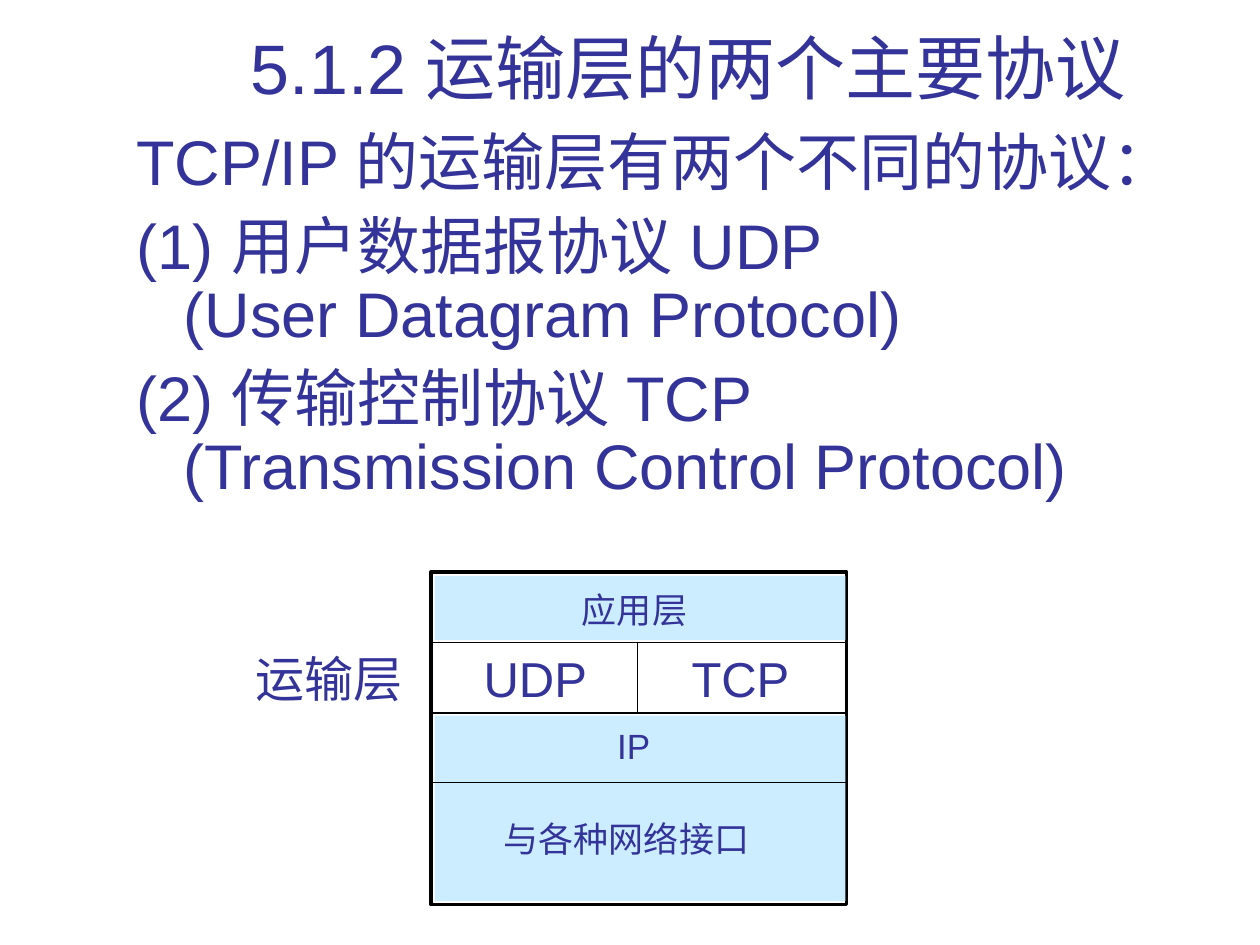
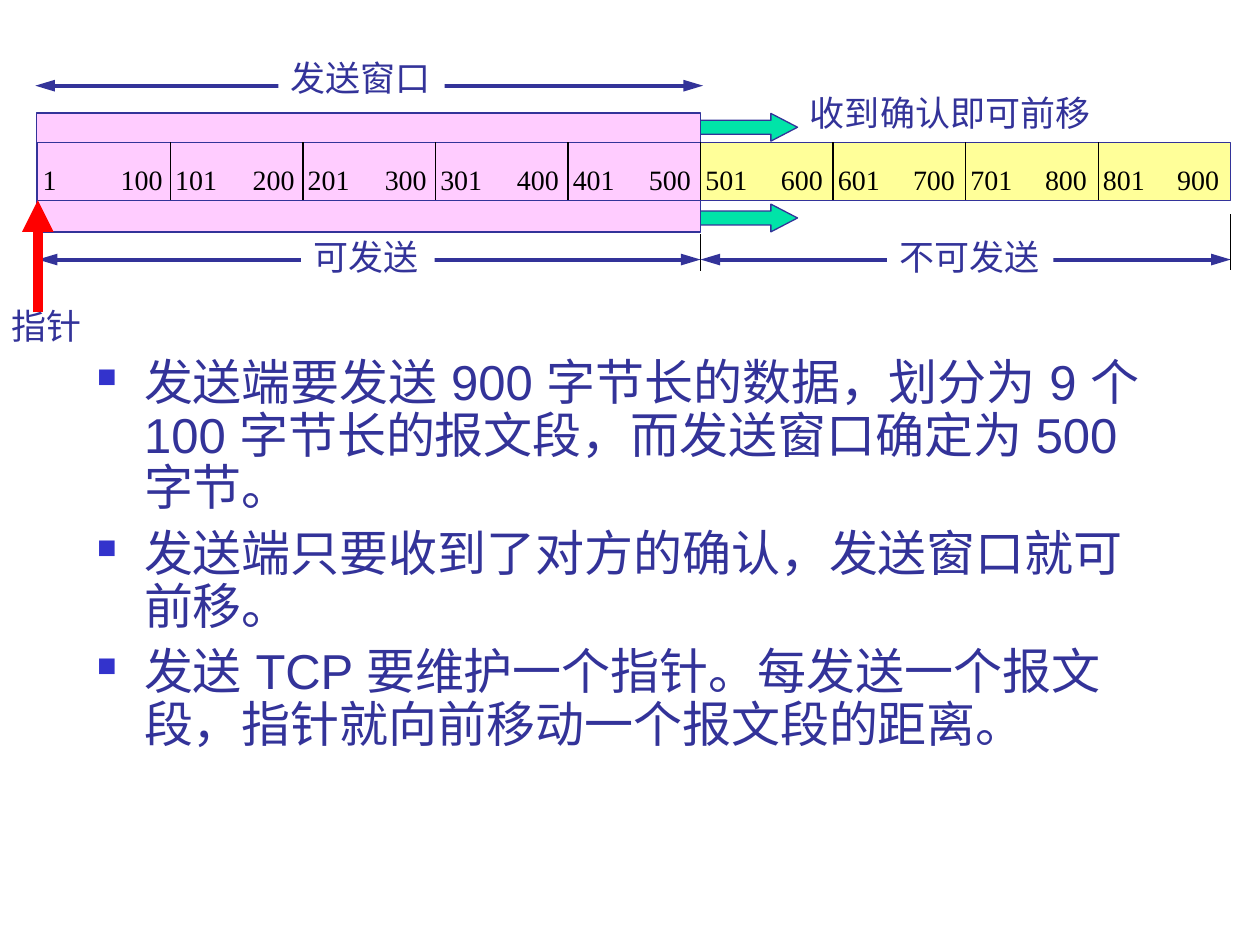
import pptx
import pptx.util
import pptx.dml.color
import pptx.enum.shapes
import pptx.enum.text
import pptx.oxml
import pptx.oxml.ns

RGB = pptx.dml.color.RGBColor
INK = RGB(0x33, 0x33, 0x99)
BLACK = RGB(0, 0, 0)
WHITE = RGB(255, 255, 255)
SKY = RGB(0xCC, 0xEC, 0xFF)
PINK = RGB(0xFF, 0xCC, 0xFF)
YELLOW = RGB(0xFF, 0xFF, 0x99)
GREEN = RGB(0, 0xE4, 0xA8)
RED = RGB(255, 0, 0)
DOT = RGB(0x33, 0x33, 0xCC)
SANS = "Arial"
LATO = "Lato"
HAN = "Noto Sans CJK SC"
SERIF = "Times New Roman"
KIND = pptx.enum.shapes.MSO_SHAPE
ALIGN = pptx.enum.text.PP_ALIGN
WIDE, HIGH = 100, 75
CELL = pptx.util.Inches(0.1)


def grid(*cells):
    """Turn grid columns and rows into lengths."""
    return [round(cell * CELL) for cell in cells]


def node(owner, tag, **attrs):
    """Append a drawing element to an owner."""
    child = pptx.oxml.ns.qn("a:" + tag)
    item = owner.makeelement(child, attrs)
    owner.append(item)
    return item


def style(para, size, face, color):
    """Format each run of a paragraph."""
    for run in para.runs:
        run.font.size = pptx.util.Pt(size)
        run.font.name = face
        run.font.color.rgb = color
        node(run._r.get_or_add_rPr(), "ea", typeface=SANS)


def label(slide, text, place, size, face=SANS, color=INK, fill=None, ratio=None):
    """Add a one-line label."""
    shape = slide.shapes.add_textbox(*grid(*place))
    if fill is not None:
        shape.fill.solid()
        shape.fill.fore_color.rgb = fill
    frame = shape.text_frame
    frame.text = text
    frame.word_wrap = False
    frame.auto_size = pptx.enum.text.MSO_AUTO_SIZE.SHAPE_TO_FIT_TEXT
    if ratio:
        frame.paragraphs[0].line_spacing = ratio
    style(frame.paragraphs[0], size, face, color)
    return shape


def title(slide, text, place):
    """Add a centred slide title."""
    shape = label(slide, text, place, 40)
    frame = shape.text_frame
    frame.word_wrap = True
    frame.auto_size = pptx.enum.text.MSO_AUTO_SIZE.NONE
    frame.vertical_anchor = pptx.enum.text.MSO_ANCHOR.BOTTOM
    frame.paragraphs[0].alignment = ALIGN.CENTER


def bullet(para):
    """Give a paragraph a small square bullet."""
    props = para._p.get_or_add_pPr()
    node(node(props, "buClr"), "srgbClr", val=str(DOT))
    node(props, "buSzPct", val="55000")
    node(props, "buChar", char="■")


def body(slide, lines, place, size, gap, dots=False):
    """Add hanging paragraphs of body text."""
    frame = slide.shapes.add_textbox(*grid(*place)).text_frame
    frame.word_wrap = True
    for rank, text in enumerate(lines):
        para = frame.add_paragraph() if rank else frame.paragraphs[0]
        para.text = text
        para.line_spacing = 0.9
        if rank:
            para.space_before = pptx.util.Pt(gap)
        props = para._p.get_or_add_pPr()
        hang = grid(3.75)[0]
        props.set("marL", str(hang))
        props.set("indent", str(-hang))
        if dots:
            bullet(para)
        style(para, size, SANS, INK)


def block(slide, place, fill=None, line=None, width=1, kind=KIND.RECTANGLE):
    """Add a filled or outlined preset shape."""
    shape = slide.shapes.add_shape(kind, *grid(*place))
    shape.shadow.inherit = False
    if fill is None:
        shape.fill.background()
    else:
        shape.fill.solid()
        shape.fill.fore_color.rgb = fill
    if line is None:
        shape.line.fill.background()
    else:
        shape.line.color.rgb = line
        shape.line.width = pptx.util.Pt(width)
    return shape


def rule(slide, ends, color=BLACK, width=0.75, heads=(), length="lg"):
    """Add a straight line with optional arrowheads."""
    kind = pptx.enum.shapes.MSO_CONNECTOR.STRAIGHT
    line = slide.shapes.add_connector(kind, *grid(*ends))
    line.line.color.rgb = color
    line.line.width = pptx.util.Pt(width)
    for head in heads:
        node(line.line._get_or_add_ln(), head, type="triangle", w="med", len=length)
    node(line._element.spPr, "effectLst")


def span(slide, left, right, row):
    """Add a two-headed measure arrow."""
    rule(slide, (left, row, right, row), INK, 2.25, ("headEnd", "tailEnd"))


def stack(slide):
    """Draw the protocol layers."""
    left, right = 34.2, 67.2
    block(slide, (left, 45.4, right - left, 26.4), WHITE, BLACK, 2)
    for top, high in ((45.7, 5.1), (56.8, 14.7)):
        block(slide, (34.5, top, 32.6, high), SKY)
    for row in (51, 56.6, 62.1):
        rule(slide, (left, row, right, row), width=1)
    rule(slide, (50.6, 51, 50.6, 56.6), width=1)
    label(slide, "TCP", (53.9, 51, 9.8, 5.6), 28)
    label(slide, "UDP", (37.4, 51, 10.2, 5.6), 28)
    label(slide, "IP", (48, 57, 4.6, 4.3), 20, fill=SKY)
    label(slide, "应用层", (45.2, 46.2, 10.8, 4.3), 20)
    label(slide, "与各种网络接口", (39, 64.4, 22, 4.3), 20)
    label(slide, "运输层", (19.3, 51, 14, 5.7), 28, LATO)


def window(slide):
    """Draw the send window over nine segments."""
    left, top, step, high = 3, 11.3, 10.52, 4.6
    edge, end = left + 5 * step, left + 9 * step
    block(slide, (edge, top, 4 * step, high), YELLOW)
    for row in (16.2, 9):
        arrow = block(slide, (55, row, 8.3, 2.2), GREEN, INK, 0.75, KIND.RIGHT_ARROW)
        arrow.adjustments[1] = 0.96
    label(slide, "收到确认即可前移", (63.3, 7.3, 24.7, 3.9), 20, HAN, ratio=0.85)
    block(slide, (2.9, 9, 52.7, 9.4), PINK, INK)
    block(slide, (left, top, 9 * step, high), None, INK, 0.75)
    for rank in range(9):
        place = left + rank * step
        if rank:
            rule(slide, (place, top, place, top + high))
        first = str(rank * 100 + 1)
        label(slide, first, (place - 0.6, 12.4, 2 + 1.1 * len(first), 3.7), 16, SERIF, BLACK)
        last = str(rank * 100 + 100)
        label(slide, last, (8.6 + rank * 10.48, 12.4, 5.3, 3.7), 16, SERIF, BLACK)
    span(slide, 2.8, 55.8, 6.8)
    label(slide, "发送窗口", (22.1, 4, 13.2, 4.4), 20, HAN, fill=WHITE)
    rule(slide, (edge, 18.6, edge, 21.5))
    span(slide, left, edge, 20.6)
    span(slide, edge, end, 20.6)
    for text, col, wide in (("可发送", 23.9, 10.6), ("不可发送", 70.4, 13.2)):
        label(slide, text, (col, 18.7, wide, 3.9), 20, HAN, fill=WHITE, ratio=0.85)
    rule(slide, (end, 17, end, 21.4))
    rule(slide, (left, 24.8, left, 15.9), RED, 6, ("tailEnd",), "med")
    label(slide, "指针", (-0.1, 24.2, 7.8, 3.9), 20, HAN, ratio=0.85)


def main():
    """Build and save the slides."""
    deck = pptx.Presentation()
    deck.slide_width, deck.slide_height = grid(WIDE, HIGH)
    blank = deck.slide_layouts[6]

    slide = deck.slides.add_slide(blank)
    body(slide, (
        "TCP/IP 的运输层有两个不同的协议：",
        "(1) 用户数据报协议 UDP\v(User Datagram Protocol)",
        "(2) 传输控制协议 TCP\v(Transmission Control Protocol)",
    ), (9.85, 9.9, 79.5, 31.5), 36, 9)
    title(slide, "5.1.2 运输层的两个主要协议", (12, 2.3, 85.2, 6.8))
    stack(slide)

    slide = deck.slides.add_slide(blank)
    window(slide)
    body(slide, (
        "发送端要发送 900 字节长的数据，划分为 9 个 100 字节长的报文段，而发送窗口确定为 500 字节。",
        "发送端只要收到了对方的确认，发送窗口就可前移。",
        "发送 TCP 要维护一个指针。每发送一个报文段，指针就向前移动一个报文段的距离。",
    ), (6.7, 27.9, 85, 38.7), 28, 7, True)
    deck.save("out.pptx")


if __name__ == "__main__":
    main()
